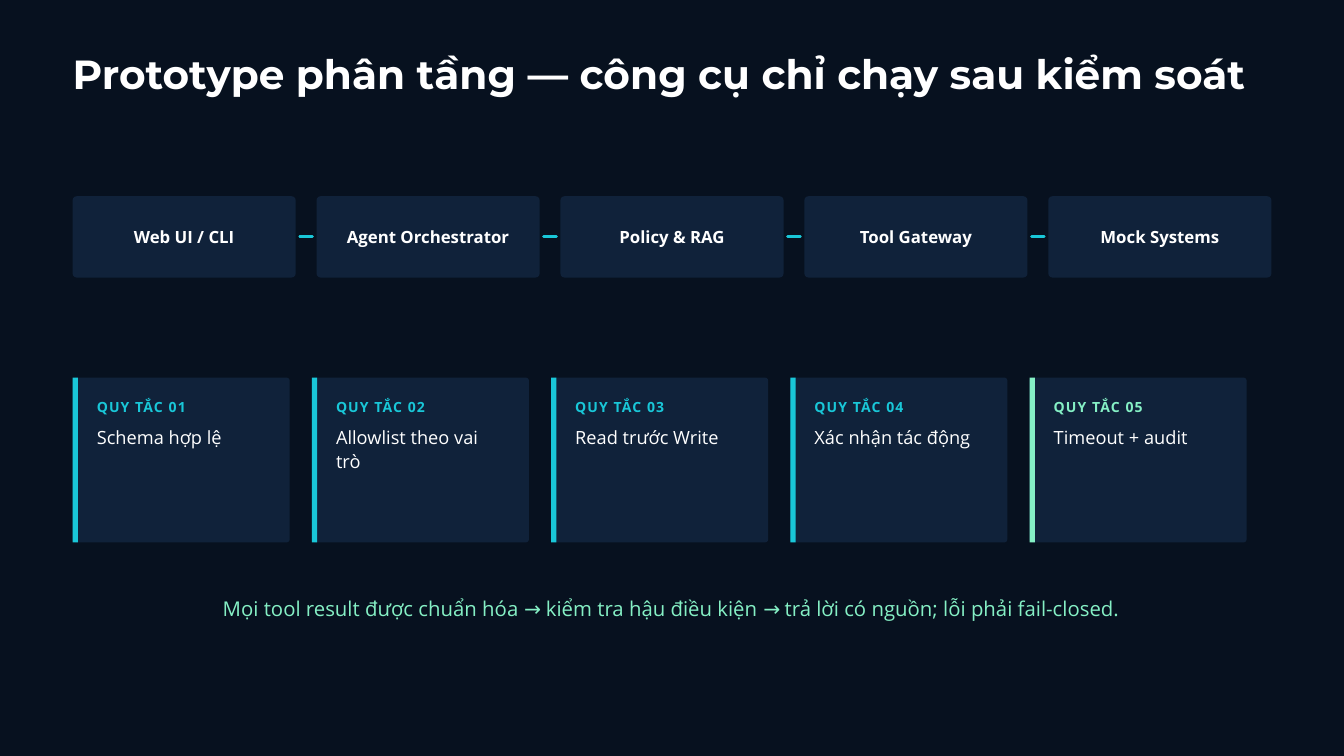
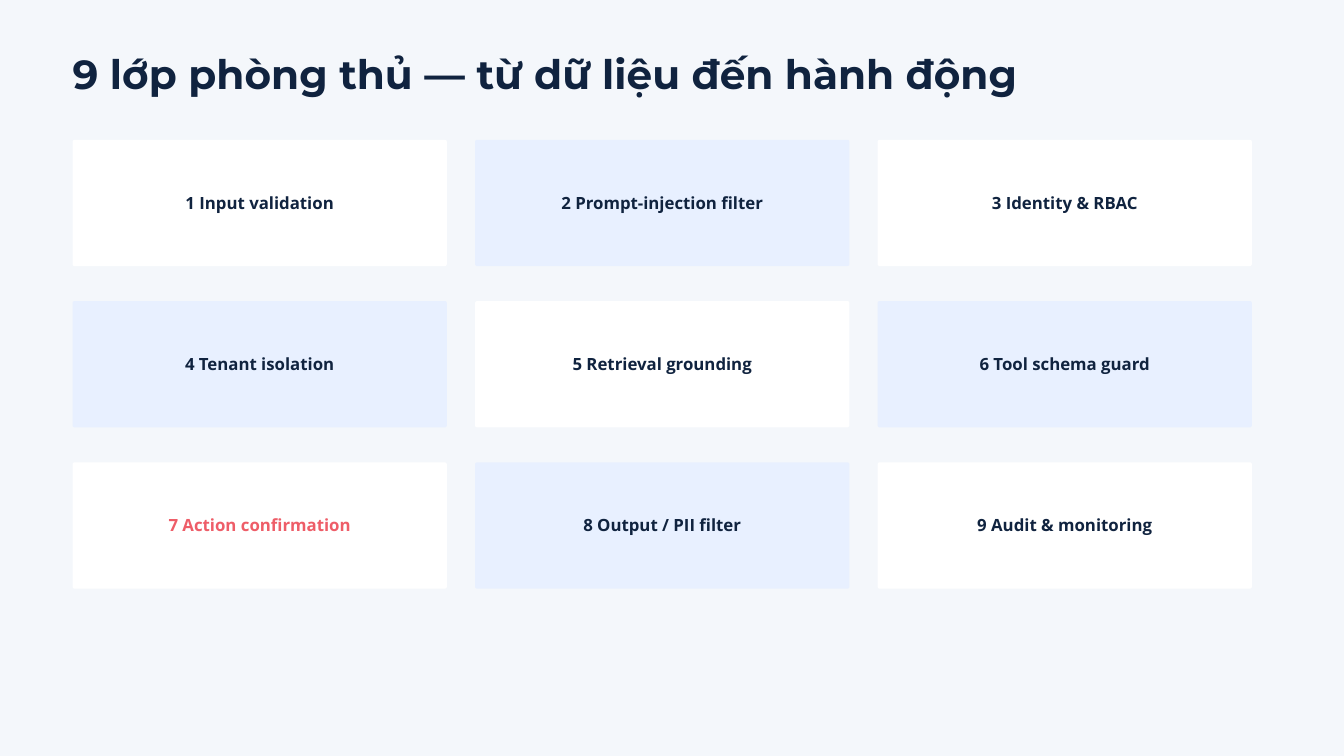
import pptx
import pptx.util
import pptx.dml.color
import pptx.enum.shapes
import pptx.enum.text
import pptx.oxml.ns
import lxml.etree

WIDTH, HEIGHT = 20, 11.25
LEFT, CONTENT_W = 1.08, 17.83
HEAD_FONT, BODY_FONT = "Montserrat", "Open Sans"

COLORS = {
    "night": "07111F",
    "panel": "10223A",
    "cyan": "19C7D8",
    "mint": "85F0C5",
    "white": "FFFFFF",
    "mist": "F4F7FB",
    "ice": "E8F0FF",
    "navy": "10233F",
    "coral": "EE5D68",
}

FLOW_TITLE = "Prototype phân tầng — công cụ chỉ chạy sau kiểm soát"
STAGES = ["Web UI / CLI", "Agent Orchestrator", "Policy & RAG", "Tool Gateway", "Mock Systems"]
RULES = [
    ("Schema hợp lệ", "cyan"),
    ("Allowlist theo vai trò", "cyan"),
    ("Read trước Write", "cyan"),
    ("Xác nhận tác động", "cyan"),
    ("Timeout + audit", "mint"),
]
SUMMARY = (
    "Mọi tool result được chuẩn hóa → kiểm tra hậu điều kiện → "
    "trả lời có nguồn; lỗi phải fail-closed."
)

LAYERS_TITLE = "9 lớp phòng thủ — từ dữ liệu đến hành động"
LAYERS = [
    "Input validation", "Prompt-injection filter", "Identity & RBAC",
    "Tenant isolation", "Retrieval grounding", "Tool schema guard",
    "Action confirmation", "Output / PII filter", "Audit & monitoring",
]
KEY_LAYER = "Action confirmation"

ALIGN = pptx.enum.text.PP_ALIGN
ANCHOR = pptx.enum.text.MSO_ANCHOR
SHAPE = pptx.enum.shapes.MSO_SHAPE
inch = pptx.util.Inches


def rgb(name):
    return pptx.dml.color.RGBColor.from_string(COLORS[name])


def write(sp, text, size, color, leading, font=BODY_FONT, bold=False,
          align=ALIGN.LEFT, anchor=ANCHOR.TOP, inset=0, tracking=None):
    tf = sp.text_frame
    tf.word_wrap = True
    tf.auto_size = pptx.enum.text.MSO_AUTO_SIZE.NONE
    tf.vertical_anchor = anchor
    tf.margin_left = tf.margin_right = tf.margin_top = tf.margin_bottom = inch(inset)
    p = tf.paragraphs[0]
    p.alignment = align
    p.line_spacing = pptx.util.Pt(leading)
    r = p.add_run()
    r.text = text
    r.font.name = font
    r.font.size = pptx.util.Pt(size)
    r.font.bold = bold
    r.font.color.rgb = rgb(color)
    if tracking:
        r.font._element.set("spc", str(round(tracking * 100)))


def add_text(s, x, y, w, h, text, **fmt):
    write(s.shapes.add_textbox(inch(x), inch(y), inch(w), inch(h)), text, **fmt)


def add_box(s, x, y, w, h, fill, radius=0):
    kind = SHAPE.ROUNDED_RECTANGLE if radius else SHAPE.RECTANGLE
    sp = s.shapes.add_shape(kind, inch(x), inch(y), inch(w), inch(h))
    if radius:
        sp.adjustments[0] = radius / min(w, h)
    sp.shadow.inherit = False
    sp.fill.solid()
    sp.fill.fore_color.rgb = rgb(fill)
    sp.line.fill.background()
    return sp


def add_tile(s, x, y, w, h, text, fill, color, radius):
    sp = add_box(s, x, y, w, h, fill, radius)
    write(sp, text, size=18, color=color, leading=20.7, bold=True,
          align=ALIGN.CENTER, anchor=ANCHOR.MIDDLE, inset=0.06)


def add_link(s, x1, x2, y):
    line = s.shapes.add_connector(
        pptx.enum.shapes.MSO_CONNECTOR.STRAIGHT, inch(x1), inch(y), inch(x2), inch(y))
    line.line.color.rgb = rgb("cyan")
    line.line.width = pptx.util.Pt(3)
    line.line._get_or_add_ln().set("cap", "rnd")
    lxml.etree.SubElement(line._element.spPr, pptx.oxml.ns.qn("a:effectLst"))


def add_slide(prs, title, background, color):
    s = prs.slides.add_slide(prs.slide_layouts[5])
    s.background.fill.solid()
    s.background.fill.fore_color.rgb = rgb(background)
    sp = s.shapes.title
    sp.left, sp.top, sp.width, sp.height = map(inch, (LEFT, 0.82, CONTENT_W, 0.65))
    write(sp, title, size=43.5, color=color, leading=45.2, font=HEAD_FONT, bold=True)
    return s


def build_flow(prs):
    s = add_slide(prs, FLOW_TITLE, "night", "white")

    top, w, h, gap, space = 2.92, 3.32, 1.21, 0.31, 0.06
    for i, stage in enumerate(STAGES):
        x = LEFT + i * (w + gap)
        add_tile(s, x, top, w, h, stage, "panel", "white", radius=0.06)
        if i < len(STAGES) - 1:
            add_link(s, x + w + space, x + w + gap - space, top + h / 2)

    top, w, h, pitch, pad = 5.62, 3.23, 2.45, 3.56, 0.36
    for i, (rule, accent) in enumerate(RULES):
        x = LEFT + i * pitch
        add_box(s, x, top, w, h, "panel", radius=0.04)
        add_box(s, x, top, 0.08, h, accent)
        add_text(s, x + pad, top + 0.27, w - 2 * pad, 0.27, f"QUY TẮC {i + 1:02}",
                 size=15, color=accent, leading=21, bold=True, tracking=1.2)
        add_text(s, x + pad, top + 0.68, w - 2 * pad, 0.72, rule,
                 size=19.5, color="white", leading=26.3)

    add_text(s, LEFT, 8.82, CONTENT_W, 0.39, SUMMARY,
             size=21.8, color="mint", leading=29.4, align=ALIGN.CENTER)


def build_layers(prs):
    s = add_slide(prs, LAYERS_TITLE, "mist", "navy")
    columns, top, w, h, gap_x, gap_y = 3, 2.08, 5.57, 1.88, 0.42, 0.52
    for i, layer in enumerate(LAYERS):
        row, col = divmod(i, columns)
        add_tile(s, LEFT + col * (w + gap_x), top + row * (h + gap_y), w, h,
                 f"{i + 1} {layer}",
                 fill="ice" if i % 2 else "white",
                 color="coral" if layer == KEY_LAYER else "navy",
                 radius=0.03)


def main():
    prs = pptx.Presentation()
    prs.slide_width, prs.slide_height = inch(WIDTH), inch(HEIGHT)
    build_flow(prs)
    build_layers(prs)
    prs.save("out.pptx")


if __name__ == "__main__":
    main()
